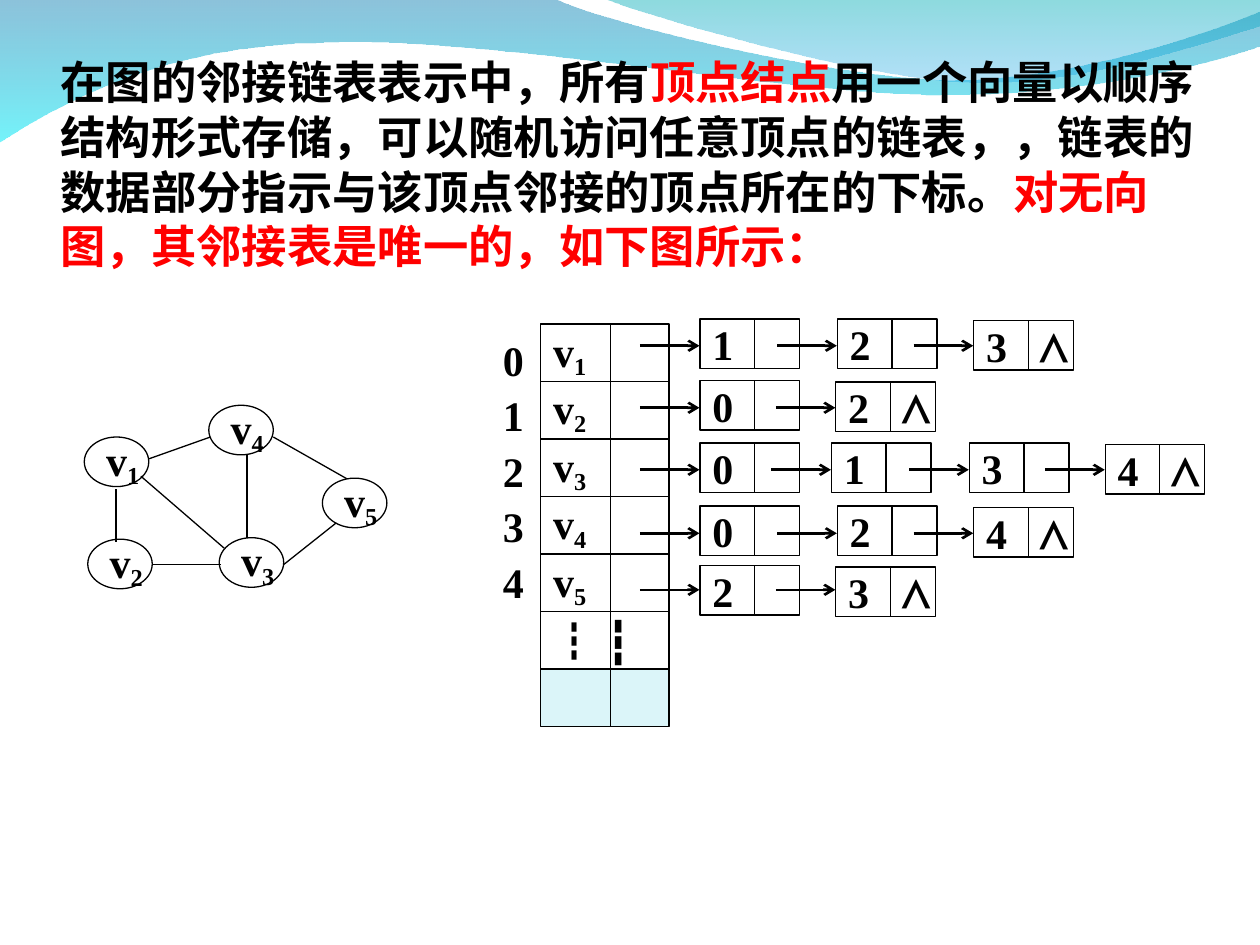
from dataclasses import dataclass
from typing import Optional

from lxml.etree import SubElement
from pptx import Presentation
from pptx.dml.color import RGBColor
from pptx.enum.shapes import MSO_CONNECTOR, MSO_SHAPE
from pptx.enum.text import MSO_ANCHOR, PP_ALIGN
from pptx.oxml.ns import qn
from pptx.util import Cm, Pt

COLORS = {
    "black": "000000", "red": "FF0000", "pale": "DBF5F9",
    "navy": "0079AF", "cyan": "00EBF8", "teal": "00ADB6", "sky": "009BE5",
}
SERIF = "Times New Roman"
CJK = "Noto Sans CJK SC"


@dataclass(frozen=True)
class Run:
    text: str
    font: str = SERIF
    ea: str = SERIF
    size: float = 24
    color: str = "black"
    sub: bool = False


@dataclass(frozen=True)
class Wave:
    start: tuple[float, float]
    segments: tuple[tuple[float, ...], ...]
    stops: tuple[tuple[str, int], ...]


@dataclass(frozen=True)
class Vertex:
    number: int
    x: float
    y: float


@dataclass(frozen=True)
class Edge:
    x1: float
    y1: float
    x2: float
    y2: float
    width: float = 0.75


@dataclass(frozen=True)
class Chain:
    y: float
    arrow_y: float
    nodes: tuple[tuple[float, int], ...]


WAVES = (
    Wave((0, -0.03), (
        (11.18, -0.03),
        (12.09, 0.43, 16.87, 1.6, 19.25, 1.6),
        (21.67, 1.6, 24.33, 0.66, 25.4, 0.23),
        (25.43, 0.91),
        (24.97, 1.12, 22.1, 1.93, 18.95, 1.91),
        (15.8, 1.91, 9.7, 0.71, 6.53, 0.86),
        (3.28, 0.89, 1.17, 2.11, -0.03, 2.87),
    ), (("navy", 45), ("cyan", 55))),
    Wave((12.17, -0.03), (
        (12.93, 0.28, 17.32, 1.57, 19.53, 1.65),
        (21.74, 1.75, 24.41, 0.81, 25.4, 0.53),
        (25.4, 0),
    ), (("teal", 45), ("sky", 30))),
)
VERTICES = (
    Vertex(1, 1.7, 8.81), Vertex(2, 1.77, 10.87), Vertex(3, 4.42, 10.84),
    Vertex(4, 4.21, 8.17), Vertex(5, 6.5, 9.64),
)
EDGES = (
    Edge(2.34, 9.86, 2.34, 10.92, 1.5), Edge(4.98, 9.17, 4.98, 10.85, 1.5),
    Edge(2.84, 9.6, 4.52, 11.05), Edge(3, 9.25, 4.24, 8.81),
    Edge(3.07, 11.38, 4.45, 11.38), Edge(5.51, 8.81, 6.99, 9.65),
    Edge(5.72, 11.38, 6.78, 10.54),
)
CHAINS = (
    Chain(6.43, 6.97, ((14.11, 1), (16.88, 2), (19.63, 3))),
    Chain(7.67, 8.22, ((14.11, 0), (16.85, 2))),
    Chain(8.93, 9.47, ((14.11, 0), (16.76, 1), (19.54, 3), (22.28, 4))),
    Chain(10.2, 10.75, ((14.11, 0), (16.88, 2), (19.63, 4))),
    Chain(11.4, 11.89, ((14.11, 2), (16.85, 3))),
)


def rgb(name: str) -> RGBColor:
    return RGBColor.from_string(COLORS[name])


def add_runs(p, runs: tuple[Run, ...]) -> None:
    p.alignment = PP_ALIGN.LEFT
    for run in runs:
        r = p.add_run()
        r.text = run.text
        r.font.name, r.font.size, r.font.bold = run.font, Pt(run.size), True
        r.font.color.rgb = rgb(run.color)
        rPr = r.font._element
        SubElement(rPr, qn("a:ea")).set("typeface", run.ea)
        if run.sub:
            rPr.set("baseline", "-20000")


def add_box(s, kind, x: float, y: float, w: float, h: float,
            runs: tuple[Run, ...] = (), fill: Optional[str] = None,
            tab: Optional[float] = None) -> None:
    sp = s.shapes.add_shape(kind, Cm(x), Cm(y), Cm(w), Cm(h))
    sp.shadow.inherit = False
    if fill:
        sp.fill.solid()
        sp.fill.fore_color.rgb = rgb(fill)
    else:
        sp.fill.background()
    sp.line.color.rgb = rgb("black")
    sp.line.width = Pt(0.75)
    tf = sp.text_frame
    tf.word_wrap = False
    tf.vertical_anchor = MSO_ANCHOR.MIDDLE
    p = tf.paragraphs[0]
    if tab:
        stops = SubElement(p._p.get_or_add_pPr(), qn("a:tabLst"))
        stop = SubElement(stops, qn("a:tab"))
        stop.set("pos", str(Cm(tab)))
        stop.set("algn", "l")
    add_runs(p, runs)


def add_line(s, edge: Edge, arrow: bool = False) -> None:
    c = s.shapes.add_connector(MSO_CONNECTOR.STRAIGHT, Cm(edge.x1), Cm(edge.y1),
                               Cm(edge.x2), Cm(edge.y2))
    c.line.color.rgb = rgb("black")
    c.line.width = Pt(edge.width)
    if arrow:
        SubElement(c.line._get_or_add_ln(), qn("a:tailEnd")).set("type", "arrow")
    SubElement(c._element.spPr, qn("a:effectLst"))


def add_wave(s, wave: Wave) -> None:
    fb = s.shapes.build_freeform(*map(Cm, wave.start))
    fb.add_line_segments([tuple(map(Cm, seg[-2:])) for seg in wave.segments], close=True)
    sp = fb.convert_to_shape()
    for ln, seg in zip(list(sp._element.iter(qn("a:lnTo"))), wave.segments):
        if len(seg) == 6:
            curve = ln.makeelement(qn("a:cubicBezTo"))
            for x, y in zip(seg[::2], seg[1::2]):
                pt = SubElement(curve, qn("a:pt"))
                pt.set("x", str(Cm(x) - sp.left))
                pt.set("y", str(Cm(y) - sp.top))
            ln.getparent().replace(ln, curve)
    sp.shadow.inherit = False
    sp.line.fill.background()
    sp.fill.gradient()
    sp.fill.gradient_angle = 270
    for stop, (color, alpha) in zip(sp.fill.gradient_stops, wave.stops):
        stop.color.rgb = rgb(color)
    for clr, (color, alpha) in zip(sp._element.spPr.iter(qn("a:srgbClr")), wave.stops):
        SubElement(clr, qn("a:alpha")).set("val", str(alpha * 1000))


def vertex_runs(number: int) -> tuple[Run, ...]:
    return Run("v"), Run(str(number), sub=True)


def add_intro(s) -> None:
    tf = s.shapes.add_textbox(Cm(0.97), Cm(0.97), Cm(23.47), Cm(5.31)).text_frame
    tf.word_wrap = True
    p = tf.paragraphs[0]
    p._p.get_or_add_pPr().set("hangingPunct", "0")
    p.line_spacing = Pt(31.2)
    parts = (
        ("在图的邻接链表表示中，所有", "black"),
        ("顶点结点", "red"),
        ("用一个向量以顺序结构形式存储，可以随机访问任意顶点的链表，，"
         "链表的数据部分指示与该顶点邻接的顶点所在的下标。", "black"),
        ("对无向图，其邻接表是唯一的，如下图所示：", "red"),
    )
    add_runs(p, tuple(Run(text, "Vollkorn", CJK, 25.9, color) for text, color in parts))


def add_indices(s) -> None:
    tf = s.shapes.add_textbox(Cm(9.89), Cm(6.5), Cm(0.99), Cm(5.87)).text_frame
    tf.word_wrap = False
    tf.vertical_anchor = MSO_ANCHOR.MIDDLE
    for i in range(5):
        p = tf.add_paragraph() if i else tf.paragraphs[0]
        p.line_spacing = 1.1
        add_runs(p, (Run(str(i)),))


def add_vector(s, x: float = 10.9, top: float = 6.53, h: float = 1.16) -> None:
    rows = [vertex_runs(n) for n in range(1, 6)] + [(Run("┇", CJK, CJK), Run(" ┇")), ()]
    for i, runs in enumerate(rows):
        y = top + i * h
        add_box(s, MSO_SHAPE.RECTANGLE, x, y, 2.59, h, runs, None if runs else "pale")
        add_line(s, Edge(x + 1.4, y, x + 1.4, y + h))


def add_chain(s, chain: Chain) -> None:
    for i, (x, index) in enumerate(chain.nodes):
        last = i == len(chain.nodes) - 1
        y = chain.y + (0.03 if last else 0)
        label = f"{index}\t⋀" if last else str(index)
        add_box(s, MSO_SHAPE.RECTANGLE, x, y, 2.01, 1, (Run(label),), tab=1.06 if last else None)
        add_line(s, Edge(x + 1.1, y, x + 1.1, y + 1))
        add_line(s, Edge(x - 1.21, chain.arrow_y, x - 0.01, chain.arrow_y, 1.5), arrow=True)


def main() -> None:
    prs = Presentation()
    prs.slide_width, prs.slide_height = Cm(25.4), Cm(19.05)
    s = prs.slides.add_slide(prs.slide_layouts[6])
    for wave in WAVES:
        add_wave(s, wave)
    add_intro(s)
    for v in VERTICES:
        add_box(s, MSO_SHAPE.OVAL, v.x, v.y, 1.3, 1, vertex_runs(v.number))
    for edge in EDGES:
        add_line(s, edge)
    add_indices(s)
    add_vector(s)
    for chain in CHAINS:
        add_chain(s, chain)
    prs.save("out.pptx")


if __name__ == "__main__":
    main()
